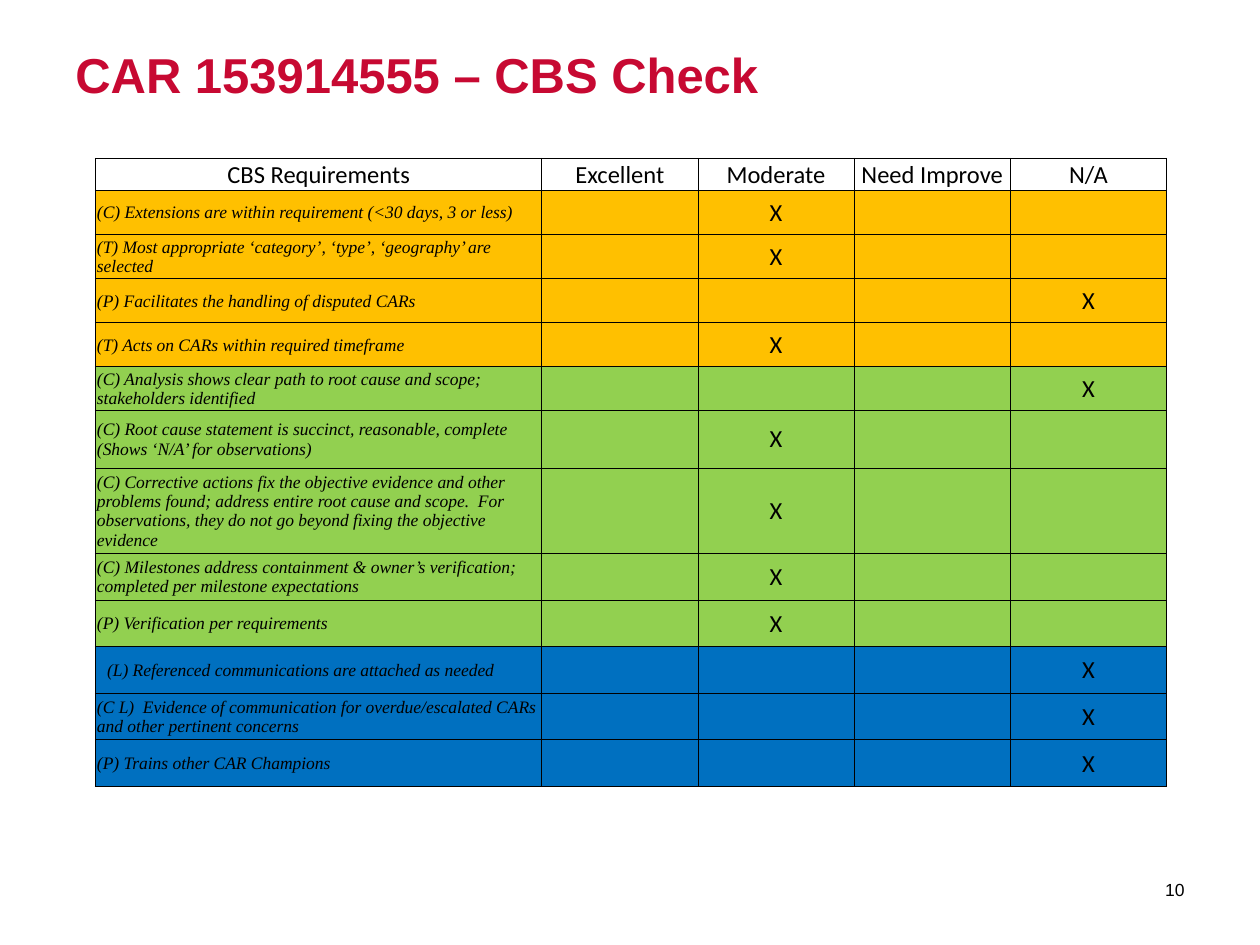
from lxml import etree
from pptx import Presentation
from pptx.dml.color import RGBColor
from pptx.enum.text import MSO_ANCHOR, PP_ALIGN
from pptx.oxml.ns import qn
from pptx.util import Inches, Pt

LEFT, CENTER, RIGHT = PP_ALIGN.LEFT, PP_ALIGN.CENTER, PP_ALIGN.RIGHT
TOP, MIDDLE, BOTTOM = MSO_ANCHOR.TOP, MSO_ANCHOR.MIDDLE, MSO_ANCHOR.BOTTOM

BLACK = RGBColor(0x00, 0x00, 0x00)
RED = RGBColor(0xC7, 0x09, 0x32)
AMBER = RGBColor(0xFF, 0xC0, 0x00)
GREEN = RGBColor(0x92, 0xD0, 0x50)
BLUE = RGBColor(0x00, 0x70, 0xC0)

TITLE_FORMAT = {"name": "Arial", "size": Pt(28), "bold": True}
NUMBER_FORMAT = {"name": "Arial", "size": Pt(10), "bold": False}
MARK_FORMAT = {"name": "Calibri", "size": Pt(14), "bold": False}
REQUIREMENT_FORMAT = {"name": "Times New Roman", "size": Pt(10),
                      "bold": False, "italic": True}

HEADINGS = ["CBS Requirements", "Excellent", "Moderate", "Need Improve", "N/A"]
MODERATE, NOT_APPLICABLE = 2, 4
COLUMN_WIDTHS = [3.54] + [1.24] * 4
HEADER_HEIGHT = 0.25
# Requirement, marked column, fill, row height
REQUIREMENTS = [
    ("(C) Extensions are within requirement (<30 days, 3 or less)",
     MODERATE, AMBER, 0.35),
    ("(T) Most appropriate ‘category’, ‘type’, ‘geography’ are selected",
     MODERATE, AMBER, 0.35),
    ("(P) Facilitates the handling of disputed CARs",
     NOT_APPLICABLE, AMBER, 0.35),
    ("(T) Acts on CARs within required timeframe",
     MODERATE, AMBER, 0.35),
    ("(C) Analysis shows clear path to root cause and scope; stakeholders identified",
     NOT_APPLICABLE, GREEN, 0.33),
    ("(C) Root cause statement is succinct, reasonable, complete "
     "(Shows ‘N/A’ for observations)",
     MODERATE, GREEN, 0.46),
    ("(C) Corrective actions fix the objective evidence and other problems found; "
     "address entire root cause and scope.  For observations, they do not go "
     "beyond fixing the objective evidence",
     MODERATE, GREEN, 0.63),
    ("(C) Milestones address containment & owner’s verification; "
     "completed per milestone expectations",
     MODERATE, GREEN, 0.37),
    ("(P) Verification per requirements",
     MODERATE, GREEN, 0.37),
    ("(L) Referenced communications are attached as needed",
     NOT_APPLICABLE, BLUE, 0.37),
    ("(C L)  Evidence of communication for overdue/escalated CARs "
     "and other pertinent concerns",
     NOT_APPLICABLE, BLUE, 0.37),
    ("(P) Trains other CAR Champions",
     NOT_APPLICABLE, BLUE, 0.37),
]
INDENTED_ROW = 10


def write_text(text_frame, text, text_format, color, alignment):
    paragraph = text_frame.paragraphs[0]
    paragraph.alignment = alignment
    run = paragraph.add_run()
    run.text = text
    for name, value in text_format.items():
        setattr(run.font, name, value)
    run.font.color.rgb = color


def add_border(cell, side, width):
    """Draw one black cell side; sides must come in the order L, R, T, B."""
    line = etree.SubElement(cell._tc.get_or_add_tcPr(), qn(f"a:ln{side}"),
                            w=str(Pt(width)))
    fill = etree.SubElement(line, qn("a:solidFill"))
    etree.SubElement(fill, qn("a:srgbClr"), val=str(BLACK))


presentation = Presentation()
presentation.slide_width = Inches(10)
presentation.slide_height = Inches(7.5)
slide = presentation.slides.add_slide(presentation.slide_layouts[6])

for text, box, text_format, color, alignment, anchor in [
    ("CAR 153914555 – CBS Check", (0.5, 0.3, 9, 1.25),
     TITLE_FORMAT, RED, LEFT, TOP),
    ("10", (8.8, 6.86, 0.7, 0.4), NUMBER_FORMAT, BLACK, RIGHT, MIDDLE),
]:
    text_frame = slide.shapes.add_textbox(*map(Inches, box)).text_frame
    text_frame.word_wrap = True
    text_frame.vertical_anchor = anchor
    write_text(text_frame, text, text_format, color, alignment)

row_heights = [HEADER_HEIGHT] + [height for *_, height in REQUIREMENTS]
table = slide.shapes.add_table(
    len(row_heights), len(HEADINGS), Inches(0.76), Inches(1.26),
    Inches(sum(COLUMN_WIDTHS)), Inches(sum(row_heights))).table
table.first_row = False
table.horz_banding = False
for column, width in zip(table.columns, COLUMN_WIDTHS):
    column.width = Inches(width)
for row, height in zip(table.rows, row_heights):
    row.height = Inches(height)

last_row, last_column = len(row_heights) - 1, len(HEADINGS) - 1
for row_index, row in enumerate(table.rows):
    for column_index, cell in enumerate(row.cells):
        cell.margin_left = cell.margin_right = cell.margin_top = Inches(0.01)
        cell.margin_bottom = 0
        cell.vertical_anchor = MIDDLE if row_index else BOTTOM
        for side, on_edge in [("L", column_index == 0),
                              ("R", column_index == last_column),
                              ("T", row_index == 0),
                              ("B", row_index == last_row)]:
            add_border(cell, side, 1 if on_edge else 0.5)
        if row_index == 0:
            cell.fill.background()
            write_text(cell.text_frame, HEADINGS[column_index],
                       MARK_FORMAT, BLACK, CENTER)
            continue
        requirement, marked_column, color, _ = REQUIREMENTS[row_index - 1]
        cell.fill.solid()
        cell.fill.fore_color.rgb = color
        if column_index == 0:
            write_text(cell.text_frame, requirement,
                       REQUIREMENT_FORMAT, BLACK, LEFT)
        elif column_index == marked_column:
            write_text(cell.text_frame, "X", MARK_FORMAT, BLACK, CENTER)
table.cell(INDENTED_ROW, 0).margin_left = Inches(0.09)

presentation.save("out.pptx")
